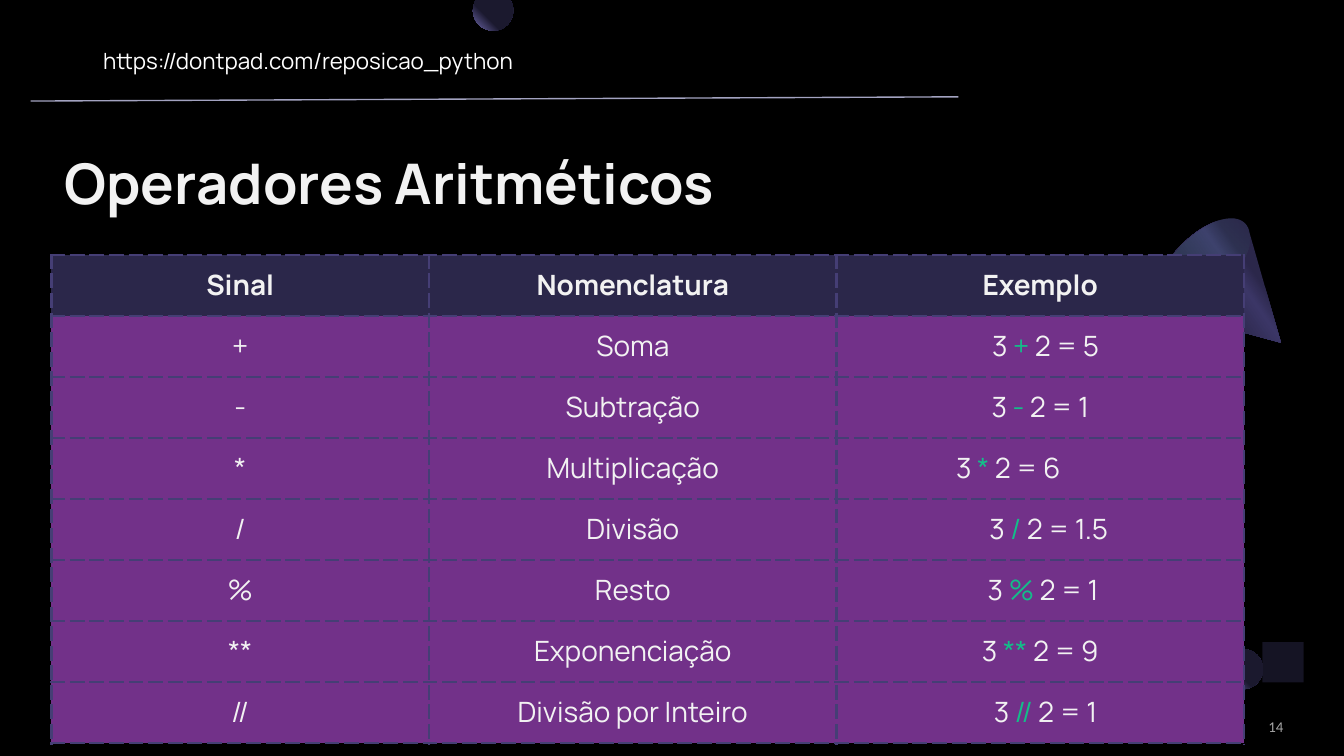
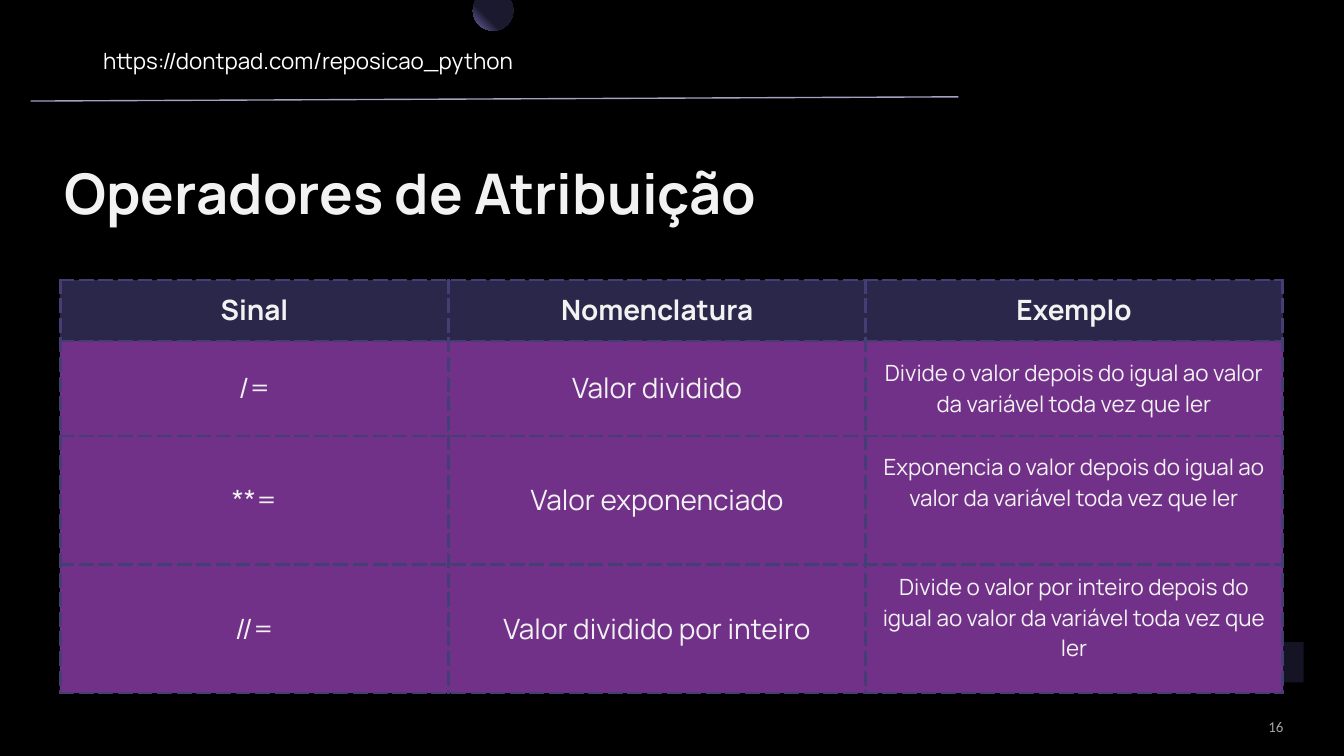
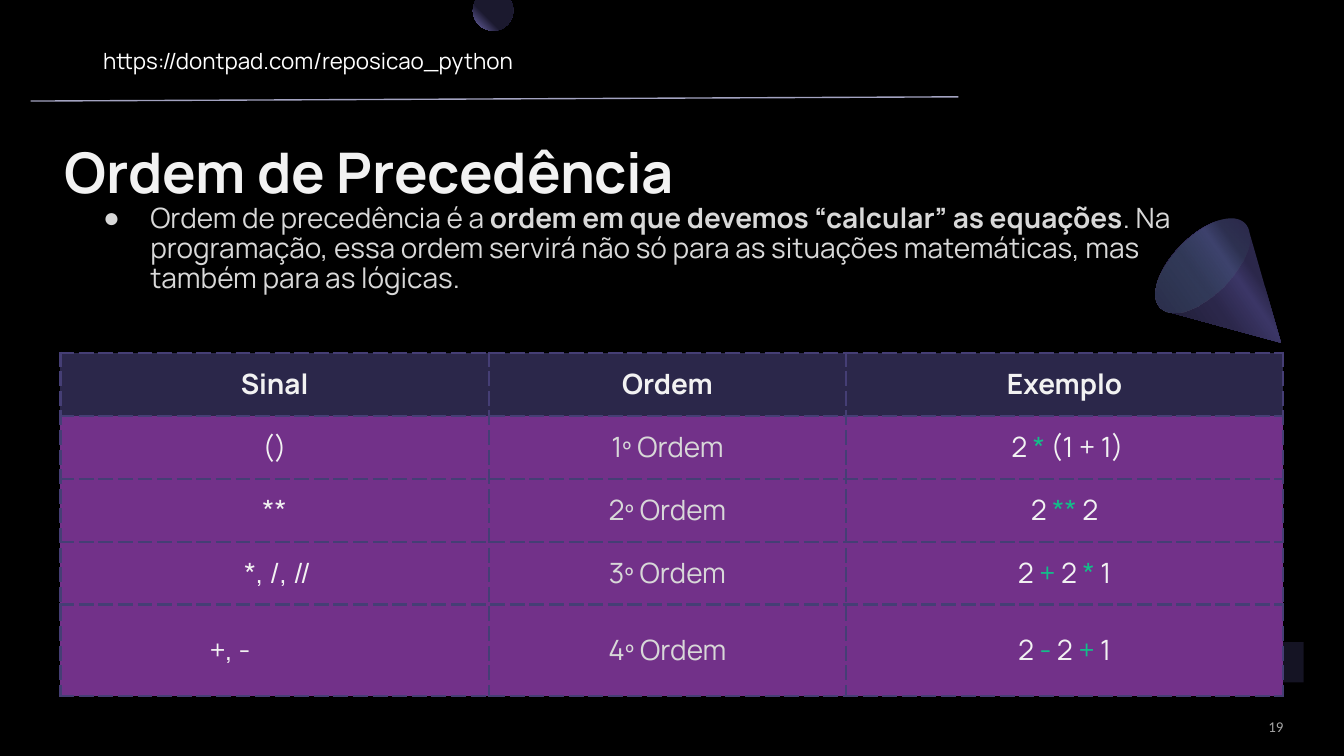
from math import cos, radians, sin

from lxml import etree
from pptx import Presentation
from pptx.dml.color import RGBColor
from pptx.enum.dml import MSO_LINE
from pptx.enum.shapes import MSO_CONNECTOR, MSO_SHAPE
from pptx.enum.text import MSO_ANCHOR, MSO_AUTO_SIZE, PP_ALIGN
from pptx.oxml.ns import qn
from pptx.util import Cm, Pt

STRAIGHT = MSO_CONNECTOR.STRAIGHT
OVAL, RECTANGLE = MSO_SHAPE.OVAL, MSO_SHAPE.RECTANGLE
TOP, MIDDLE = MSO_ANCHOR.TOP, MSO_ANCHOR.MIDDLE
LEFT, CENTER, RIGHT = PP_ALIGN.LEFT, PP_ALIGN.CENTER, PP_ALIGN.RIGHT
NO_AUTOFIT = MSO_AUTO_SIZE.NONE
DASH = MSO_LINE.LONG_DASH

TITLE_AND_BODY, TITLE_ONLY = 1, 5


def color(hex_value):
    return RGBColor.from_string(hex_value)


# Shared colours and text styles
BLACK, NAVY, NIGHT, INDIGO = "000000", "2B274A", "1B192E", "453E75"
PURPLE, RULE = "723189", "A3A3C1"
FONT = "Manrope"
LIGHT, MUTED = color("F2F2F2"), color("D8D8D8")

TITLE_STYLE = {"name": FONT, "size": Pt(30), "bold": True, "rgb": LIGHT}
CELL_STYLE = {"name": FONT, "size": Pt(15), "bold": False, "rgb": LIGHT}
HEADER_STYLE = {**CELL_STYLE, "bold": True}
OPERATOR_STYLE = {"rgb": color("13BE89")}
BODY_STYLE = {**CELL_STYLE, "rgb": MUTED}
ADDRESS_STYLE = {"name": FONT, "size": Pt(12), "rgb": color("FFFFFF")}
NUMBER_STYLE = {"name": "Calibri", "size": Pt(8), "rgb": color("A5A5A5")}

BALL_STOPS = [(0, NIGHT, 100), (60, NIGHT, 100), (100, "746EB3", 100)]
CONE_STOPS = [(0, NAVY, 100), (30, NAVY, 100), (40, "3B3666", 100),
              (60, NAVY, 100), (100, NIGHT, 100)]
BASE_STOPS = [(0, INDIGO, 31), (100, "59EFC0", 0)]
CONE_CENTER, CONE_TIP = (22.73, 5.02), (24.21, 6.48)


def set_values(target, values):
    for attribute, value in values.items():
        setattr(target, attribute, value)


def margins(horizontal, vertical):
    return {"margin_left": Cm(horizontal), "margin_right": Cm(horizontal),
            "margin_top": Cm(vertical), "margin_bottom": Cm(vertical)}


def place(shape, left, top, width, height):
    set_values(shape, {"left": Cm(left), "top": Cm(top),
                       "width": Cm(width), "height": Cm(height)})


def add_element(parent, tag, **attributes):
    values = {name: str(value) for name, value in attributes.items()}
    return etree.SubElement(parent, qn(tag), values)


# Text
def add_runs(paragraph, text, style, emphasis=None):
    """Write text; the parts between bars take the emphasis style too."""
    for index, part in enumerate(text.split("|")):
        run = paragraph.add_run()
        run.text = part
        run_style = {**style, **emphasis} if index % 2 else style
        for attribute, value in run_style.items():
            target = run.font.color if attribute == "rgb" else run.font
            setattr(target, attribute, value)


def write_text(shape, text, style, frame_values, alignment=LEFT, emphasis=None):
    frame = shape.text_frame
    set_values(frame, {"word_wrap": True, "auto_size": NO_AUTOFIT, **frame_values})
    paragraph = frame.paragraphs[0]
    set_values(paragraph, {"alignment": alignment, "space_before": Pt(0)})
    add_runs(paragraph, text, style, emphasis)
    return paragraph


def add_label(slide, box, text, style, frame_values, alignment=LEFT):
    label = slide.shapes.add_textbox(*map(Cm, box))
    write_text(label, text, style, frame_values, alignment)


def write_title(slide, text, top):
    place(slide.shapes.title, 0.97, top, 23.75, 1.55)
    frame_values = {"vertical_anchor": TOP, **margins(0.25, 0.13),
                    "margin_top": Cm(0.69)}
    write_text(slide.shapes.title, text, TITLE_STYLE, frame_values)


def write_body(slide, text):
    body = slide.placeholders[1]
    place(body, 1.32, 3.61, 22.43, 2.44)
    frame_values = {"vertical_anchor": TOP, **margins(0.25, 0.25)}
    paragraph = write_text(body, text, BODY_STYLE, frame_values,
                           emphasis={"bold": True})
    paragraph.line_spacing = 0.9
    properties = paragraph._p.get_or_add_pPr()
    properties.set("marL", str(Cm(1.27)))
    properties.set("indent", str(Cm(-0.89)))
    bullet_color = add_element(properties, "a:buClr")
    add_element(bullet_color, "a:srgbClr", val=MUTED)
    add_element(properties, "a:buChar", char="●")


# Shapes
def fill_gradient(shape, stops, angle=None):
    """Linear gradient with an angle, else radial from the top right corner."""
    shape.shadow.inherit = False
    shape.line.fill.background()
    shape.fill.gradient()
    gradient = shape._element.spPr.find(qn("a:gradFill"))
    for child in list(gradient):
        gradient.remove(child)
    gradient.set("rotWithShape", "1")
    stop_list = add_element(gradient, "a:gsLst")
    for position, hex_value, opacity in stops:
        stop = add_element(stop_list, "a:gs", pos=position * 1000)
        stop_color = add_element(stop, "a:srgbClr", val=hex_value)
        if opacity < 100:
            add_element(stop_color, "a:alpha", val=opacity * 1000)
    if angle is None:
        circle = add_element(gradient, "a:path", path="circle")
        add_element(circle, "a:fillToRect", l=100000, b=100000)
    else:
        add_element(gradient, "a:lin", ang=angle * 60000, scaled=0)


def ellipse_arc(center, radii, tilt, start, end, steps=48):
    """Points along a tilted ellipse; angles in degrees, clockwise."""
    turn = radians(tilt)
    points = []
    for step in range(steps + 1):
        angle = radians(start + (end - start) * step / steps)
        along, across = radii[0] * cos(angle), radii[1] * sin(angle)
        points.append((center[0] + along * cos(turn) - across * sin(turn),
                       center[1] + along * sin(turn) + across * cos(turn)))
    return points


def add_outline(slide, points):
    corners = [(Cm(x), Cm(y)) for x, y in points]
    builder = slide.shapes.build_freeform(*corners[0])
    builder.add_line_segments(corners[1:], close=True)
    return builder.convert_to_shape()


def add_cone(slide):
    side = ellipse_arc(CONE_CENTER, (1.13, 0.56), -45, 20, -200)
    fill_gradient(add_outline(slide, side + [CONE_TIP]), CONE_STOPS, 145)
    base = slide.shapes.add_shape(OVAL, Cm(22.17), Cm(3.89), Cm(1.12), Cm(2.26))
    base.rotation = 225
    fill_gradient(base, BASE_STOPS, 90)


def add_corner_shapes(slide):
    ball = slide.shapes.add_shape(OVAL, Cm(23.11), Cm(12.27), Cm(0.76), Cm(0.76))
    fill_gradient(ball, BALL_STOPS)
    block = slide.shapes.add_shape(RECTANGLE, Cm(23.86), Cm(12.14), Cm(0.78), Cm(0.76))
    block.shadow.inherit = False
    block.line.fill.background()
    block.fill.solid()
    block.fill.fore_color.rgb = color(NIGHT)
    block_color = block._element.spPr.find(qn("a:solidFill"))[0]
    add_element(block_color, "a:alpha", val=80000)


def add_header(slide):
    cut_ball = ellipse_arc((9.32, 0.2), (0.38, 0.38), 0, -32, 212)
    fill_gradient(add_outline(slide, cut_ball), BALL_STOPS)
    rule = slide.shapes.add_connector(STRAIGHT, Cm(0.58), Cm(1.91), Cm(18.11), Cm(1.83))
    rule.line.color.rgb = color(RULE)
    rule.line.width = Pt(0.75)
    add_element(rule._element.spPr, "a:effectLst")
    add_label(slide, (1.7, 0.64, 21.59, 1.02), "https://dontpad.com/reposicao_python",
              ADDRESS_STYLE, margins(0.25, 0.25))


# Tables
def add_borders(cell):
    properties = cell._tc.get_or_add_tcPr()
    for index, tag in enumerate(("a:lnL", "a:lnR", "a:lnT", "a:lnB")):
        border = add_element(properties, tag, w=Pt(1.5))
        line_fill = add_element(border, "a:solidFill")
        add_element(line_fill, "a:srgbClr", val=INDIGO)
        add_element(border, "a:prstDash", val=DASH.xml_value
                    if hasattr(DASH, "xml_value") else "lgDash")
        properties.insert(index, border)


def fill_cell(cell, text, style, background, values, alignment):
    set_values(cell, {"vertical_anchor": MIDDLE, **values})
    cell.fill.solid()
    cell.fill.fore_color.rgb = color(background)
    add_borders(cell)
    paragraph = cell.text_frame.paragraphs[0]
    paragraph.alignment = alignment
    paragraph.line_spacing = 0.9 if style["size"] == CELL_STYLE["size"] else 1.0
    add_runs(paragraph, text, style, OPERATOR_STYLE)


def add_operator_table(slide, position, widths, heights, rows, row_margin=0.25,
                       column_styles=None, cell_margins=None, left_cells=()):
    column_styles, cell_margins = column_styles or {}, cell_margins or {}
    frame = slide.shapes.add_table(len(rows), len(widths), *map(Cm, position),
                                   Cm(sum(widths)), Cm(sum(heights)))
    table = frame.table
    set_values(table, {"first_row": False, "horz_banding": False})
    for column, width in zip(table.columns, widths):
        column.width = Cm(width)
    for row, height in zip(table.rows, heights):
        row.height = Cm(height)
    for row_index, texts in enumerate(rows):
        for column_index, text in enumerate(texts):
            key = row_index, column_index
            if row_index == 0:
                style, background, vertical = HEADER_STYLE, NAVY, 0.25
            else:
                style = {**CELL_STYLE, **column_styles.get(column_index, {})}
                background, vertical = PURPLE, row_margin
            values = {**margins(0.25, vertical), **cell_margins.get(key, {})}
            alignment = LEFT if key in left_cells else CENTER
            fill_cell(table.cell(*key), text, style, background, values, alignment)


def indents(values):
    return {key: {"margin_left": Cm(indent)} for key, indent in values.items()}


# Slides
def add_slide(presentation, title, title_top, number, layout=TITLE_ONLY, cone=True):
    slide = presentation.slides.add_slide(presentation.slide_layouts[layout])
    add_corner_shapes(slide)
    if cone:
        add_cone(slide)
    add_header(slide)
    write_title(slide, title, title_top)
    add_label(slide, (20.73, 13.56, 3.53, 0.33), number, NUMBER_STYLE,
              {"vertical_anchor": MIDDLE, **margins(0, 0)}, RIGHT)
    return slide


def add_arithmetic_slide(presentation):
    slide = add_slide(presentation, "Operadores Aritméticos", 2.11, "14")
    rows = [
        ("Sinal", "Nomenclatura", "Exemplo"),
        ("+", "Soma", "3 |+| 2 = 5"),
        ("-", "Subtração", "3 |-| 2 = 1"),
        ("*", "Multiplicação", "3 |*| 2 = 6"),
        ("/", "Divisão", "3 |/| 2 = 1.5"),
        ("%", "Resto", "3 |%| 2 = 1"),
        ("**", "Exponenciação", "3 |**| 2 = 9"),
        ("//", "Divisão por Inteiro", "3 |//| 2 = 1"),
    ]
    add_operator_table(
        slide, (0.97, 4.82), (7.14, 7.7, 7.7), [1.14] * len(rows), rows,
        cell_margins=indents({(1, 2): 0.45, (3, 2): 2.26, (4, 2): 0.57,
                              (5, 2): 0.36, (7, 2): 0.45}),
        left_cells=[(3, 2)])


def add_assignment_slide(presentation):
    slide = add_slide(presentation, "Operadores de Atribuição", 2.31, "16", cone=False)
    rows = [
        ("Sinal", "Nomenclatura", "Exemplo"),
        ("/=", "Valor dividido",
         "Divide o valor depois do igual ao valor da variável toda vez que ler"),
        ("**=", "Valor exponenciado",
         "Exponencia o valor depois do igual ao valor da variável toda vez que ler"),
        ("//=", "Valor dividido por inteiro",
         "Divide o valor por inteiro depois do igual ao valor da variável toda vez que ler"),
    ]
    add_operator_table(
        slide, (1.14, 5.29), (7.34, 7.88, 7.88), (1.15, 1.8, 2.43, 2.43), rows,
        row_margin=0.13, column_styles={2: {"size": Pt(12)}},
        cell_margins={(2, 2): {"margin_bottom": Cm(0.81)},
                      (3, 2): {"margin_bottom": Cm(0.56)}})


def add_precedence_slide(presentation):
    slide = add_slide(presentation, "Ordem de Precedência", 1.91, "19", TITLE_AND_BODY)
    write_body(slide, "Ordem de precedência é a| ordem em que devemos “calcular” as "
                      "equações|. Na programação, essa ordem servirá não só para as "
                      "situações matemáticas, mas também para as lógicas.")
    rows = [
        ("Sinal", "Ordem", "Exemplo"),
        ("()", "1º Ordem", "2 |*| (1 + 1)"),
        ("**", "2º Ordem", "2 |**| 2"),
        ("*, /, //", "3º Ordem", "2 |+| 2 |*| 1"),
        ("+, -", "4º Ordem", "2 |-| 2 |+| 1"),
    ]
    add_operator_table(
        slide, (1.14, 6.67), (8.1, 6.75, 8.26), [1.19] * 4 + [1.73], rows,
        column_styles={1: {"rgb": MUTED}},
        cell_margins=indents({(1, 2): 0.36, (3, 0): 0.36, (4, 0): 2.82}),
        left_cells=[(4, 0)])


def main():
    presentation = Presentation()
    set_values(presentation, {"slide_width": Cm(25.4), "slide_height": Cm(14.29)})
    background = presentation.slide_master.background.fill
    background.solid()
    background.fore_color.rgb = color(BLACK)
    add_arithmetic_slide(presentation)
    add_assignment_slide(presentation)
    add_precedence_slide(presentation)
    presentation.save("out.pptx")


if __name__ == "__main__":
    main()
